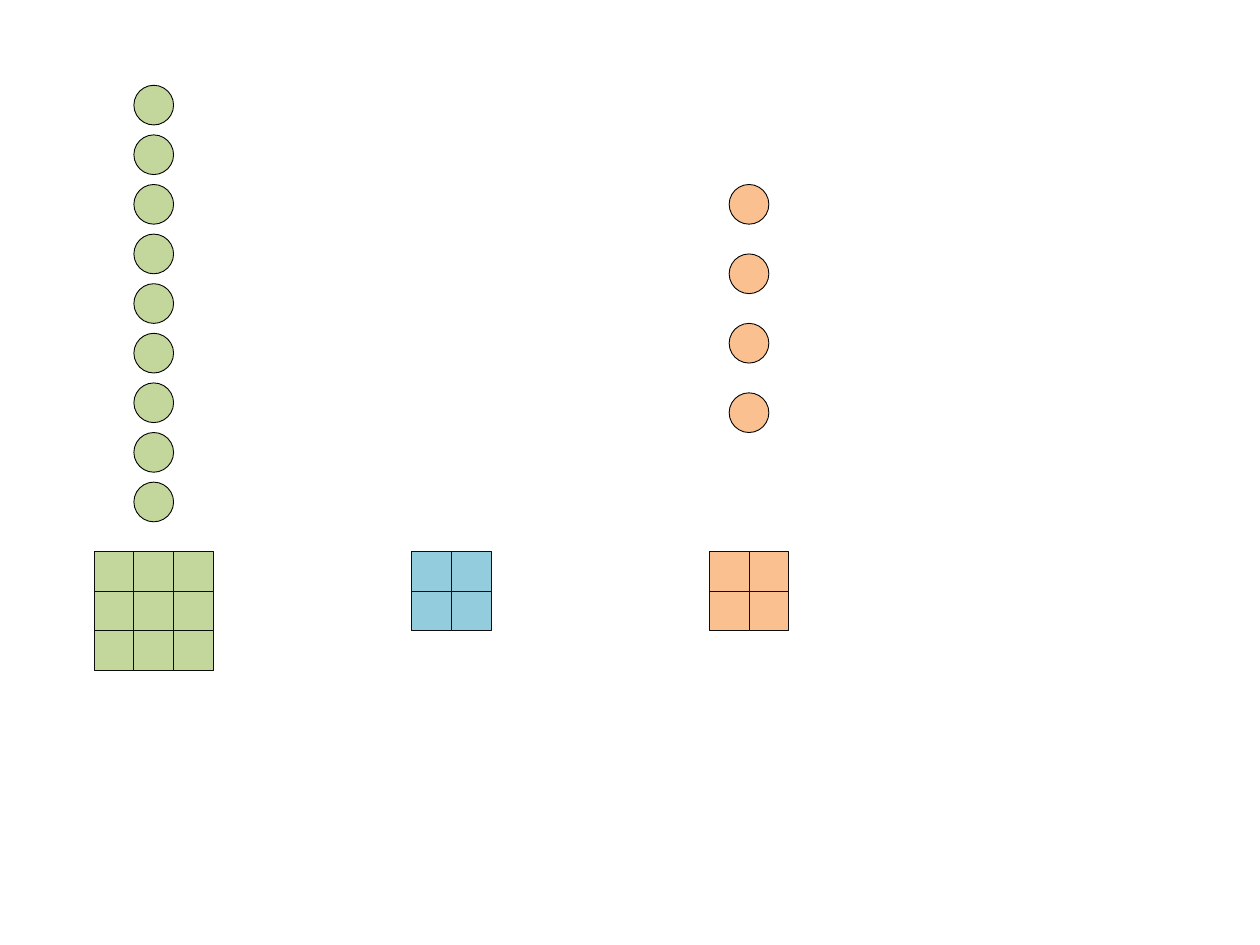
from dataclasses import dataclass

from pptx import Presentation
from pptx import util as u
from pptx.dml.color import RGBColor
from pptx.enum import shapes

PX = 3600  # EMU per px, 254 px to the inch
SIZE = 80  # side of a cell and diameter of a circle

GREEN = RGBColor(0xC3, 0xD6, 0x9B)
BLUE = RGBColor(0x93, 0xCD, 0xDD)
ORANGE = RGBColor(0xFA, 0xC0, 0x90)
BLACK = RGBColor(0x00, 0x00, 0x00)
NEAR_BLACK = RGBColor(0x0D, 0x0D, 0x0D)

OVAL = shapes.MSO_SHAPE.OVAL
SQUARE = shapes.MSO_SHAPE.RECTANGLE
GRID_TOP = 1112


@dataclass(frozen=True)
class Block:
    """Equal shapes in rows and columns, one pitch apart."""
    kind: shapes.MSO_SHAPE
    left: int
    top: int
    rows: int
    cols: int
    pitch: int
    fill: RGBColor
    line: RGBColor


BLOCKS = [
    Block(OVAL, 270, 172, 9, 1, 100, GREEN, BLACK),
    Block(SQUARE, 190, GRID_TOP, 3, 3, SIZE, GREEN, NEAR_BLACK),
    Block(OVAL, 1470, 372, 4, 1, 140, ORANGE, BLACK),
    Block(SQUARE, 830, GRID_TOP, 2, 2, SIZE, BLUE, NEAR_BLACK),
    Block(SQUARE, 1430, GRID_TOP, 2, 2, SIZE, ORANGE, NEAR_BLACK),
]


def px(n: int) -> u.Emu:
    return u.Emu(n * PX)


def draw_block(s, block: Block) -> None:
    for row in range(block.rows):
        for col in range(block.cols):
            sp = s.shapes.add_shape(
                block.kind,
                px(block.left + col * block.pitch),
                px(block.top + row * block.pitch),
                px(SIZE), px(SIZE))
            sp.shadow.inherit = False
            sp.fill.solid()
            sp.fill.fore_color.rgb = block.fill
            sp.line.color.rgb = block.line
            sp.line.width = u.Pt(0.5)


def main() -> None:
    prs = Presentation()
    prs.slide_width, prs.slide_height = px(2540), px(1905)
    s = prs.slides.add_slide(prs.slide_layouts[6])
    for block in BLOCKS:
        draw_block(s, block)
    prs.save("out.pptx")


if __name__ == "__main__":
    main()
